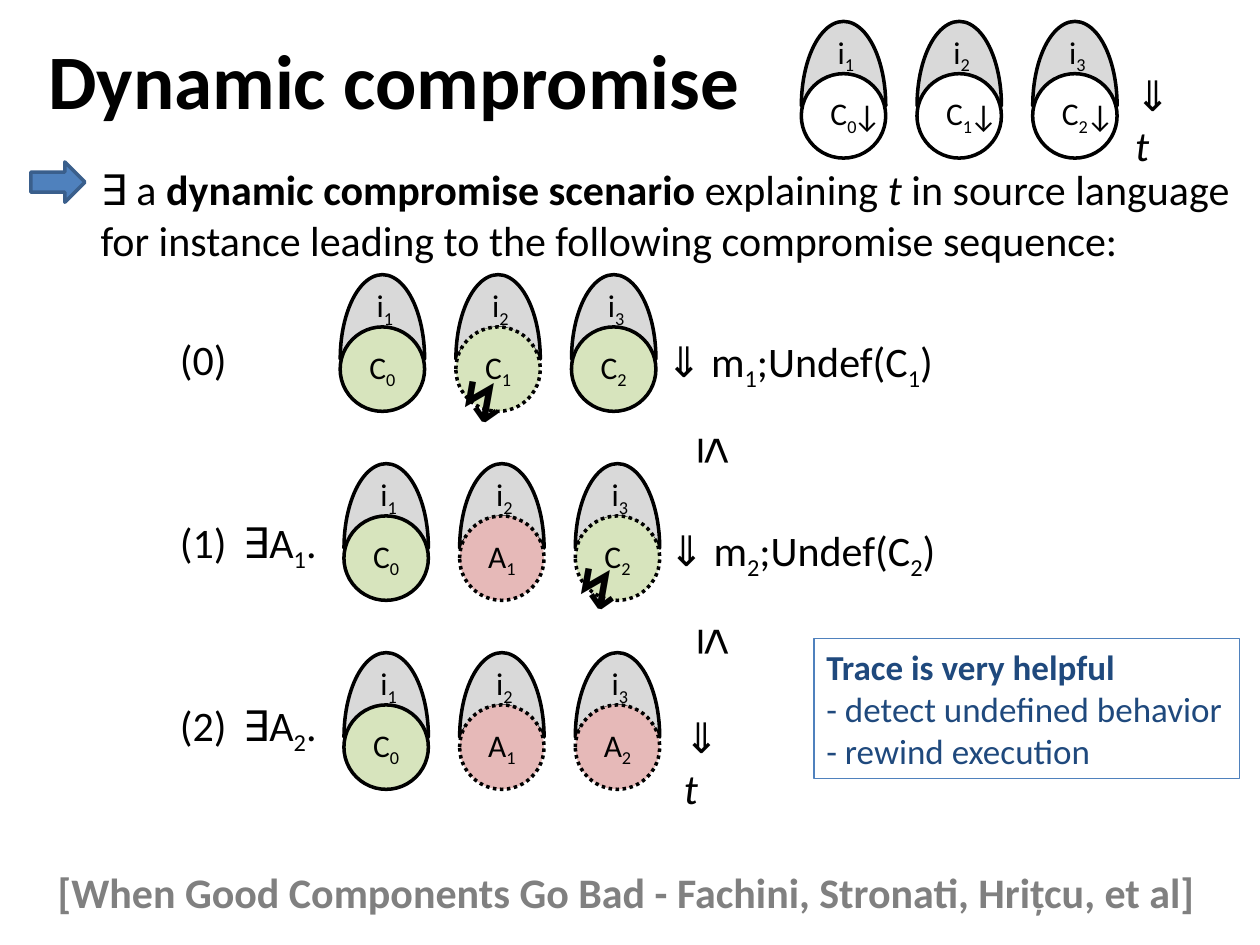
"""Build the slide on dynamic compromise of components."""
from pptx import Presentation
from pptx.dml.color import RGBColor as Rgb
from pptx.enum.dml import MSO_LINE as Dash
from pptx.enum.shapes import MSO_SHAPE as Kind
from pptx.enum.text import MSO_ANCHOR as Anchor, MSO_AUTO_SIZE as Fit, PP_ALIGN as Align
from pptx.util import Inches, Pt

COLS, ROWS = 100, 75
WIDE, HIGH = Inches(10), Inches(7.5)
HUES = {"ink": "000000", "gray": "808080", "shell": "D9D9D9", "plain": "FFFFFF",
        "C": "D7E4BD", "A": "E6B9B8", "blue": "4F81BD", "edge": "3A5F8C",
        "navy": "1F497D"}
DISC, PITCH, DROP = 6.7, 9.18, 4.15


def hue(name):
    """Return the named colour."""
    return Rgb.from_string(HUES[name])


def area(x, y, w, h):
    """Turn grid columns and rows into slide lengths."""
    return (int(x * WIDE / COLS), int(y * HIGH / ROWS),
            int(w * WIDE / COLS), int(h * HIGH / ROWS))


def write(shape, *lines, size=24, color="ink", bold=False, font="Calibri", align=Align.LEFT):
    """Fill a shape with lines of runs, each a string or a (string, marks) pair."""
    frame = shape.text_frame
    for n, line in enumerate(lines):
        para = frame.add_paragraph() if n else frame.paragraphs[0]
        para.alignment = align
        for part in line:
            words, marks = (part, "") if isinstance(part, str) else part
            run = para.add_run()
            run.text = words
            face = run.font
            face.name, face.size = font, Pt(size)
            face.color.rgb = hue(color)
            face.bold = bold or "b" in marks
            face.italic = "i" in marks
            if "s" in marks:
                face._element.set("baseline", "-25000")


def note(shapes, spot, *lines, wrap=False, turn=0, **look):
    """Add a text box."""
    box = shapes.add_textbox(*area(*spot))
    box.rotation = turn
    box.text_frame.word_wrap = wrap
    box.text_frame.auto_size = Fit.NONE if wrap else Fit.SHAPE_TO_FIT_TEXT
    write(box, *lines, **look)
    return box


def form(shapes, kind, spot, fill, edge="ink", turn=0, dash=None):
    """Add a filled and outlined preset shape."""
    shape = shapes.add_shape(kind, *area(*spot))
    shape.shadow.inherit = False
    shape.rotation = turn
    shape.fill.solid()
    shape.fill.fore_color.rgb = hue(fill)
    shape.line.color.rgb = hue(edge)
    shape.line.width = Pt(2)
    if dash:
        shape.line.dash_style = dash
    return shape


def trio(slide, x, y, names, dots="", fill=None):
    """Draw three parts under their interfaces; dots lists the dotted ones."""
    shapes = slide.shapes.add_group_shape().shapes
    for n in range(3):
        left = x + n * PITCH
        moon = form(shapes, Kind.MOON, (left, y, DISC, DISC), "shell", turn=90)
        moon.adjustments[0] = 0.632
        note(shapes, (left + 1.9, y + 0.4, 3.5, 4), ["i", (str(n + 1), "s")], size=18)
    for n, name in enumerate(names):
        disc = form(shapes, Kind.OVAL, (x + n * PITCH, y + DROP, DISC, DISC),
                    fill or name, dash=Dash.ROUND_DOT if str(n) in dots else None)
        disc.text_frame.vertical_anchor = Anchor.MIDDLE
        write(disc, [name, (str(n), "s")], size=18, align=Align.CENTER)


def trace(slide, x, y):
    """Add the arrow that yields the trace t."""
    note(slide.shapes, (x, y, 5.9, 5), ["⇓ ", ("t", "i")], wrap=True)


def event(slide, x, y, n):
    """Add the step that ends in undefined behaviour of one part."""
    mark = (str(n), "s")
    note(slide.shapes, (x, y, 23.6, 5), ["⇓ m", mark, ";Undef(C", mark, ")"])


def main():
    """Build and save the slide."""
    deck = Presentation()
    deck.slide_width, deck.slide_height = WIDE, HIGH
    slide = deck.slides.add_slide(deck.slide_layouts[5])
    shapes = slide.shapes

    title = shapes.title
    title.left, title.top, title.width, title.height = area(1.7, 0, 59.2, 12.5)
    title.text_frame.vertical_anchor = Anchor.MIDDLE
    write(title, ["Dynamic compromise"], size=44, bold=True, align=Align.CENTER)
    note(shapes, (3.6, 68.3, 93.1, 5),
         ["[When Good Components Go Bad - Fachini, Stronati, Hrițcu, et al]"],
         color="gray", bold=True)

    trio(slide, 63.6, 1.7, "CCC", fill="plain")
    note(shapes, (7, 12.5, 92.3, 9.1),
         ["∃ a ", ("dynamic compromise scenario ", "b"), "explaining ", ("t ", "i"),
          "in source language"],
         ["for instance leading to the following compromise sequence:"])
    for n in range(3):
        note(shapes, (66.7 + n * 9.25, 7.1, 4.3, 4), ["↓"], size=18)
    trace(slide, 89.1, 5)

    trio(slide, 27, 21.8, "CCC", dots="1")
    trio(slide, 27.3, 36.8, "CAC", dots="12")
    trio(slide, 27.3, 51.8, "CAA", dots="12")
    for n in range(3):
        row = 26 + n * 14.5
        note(shapes, (13.3, row, 5.8, 5), [f"({n})"])
        if n:
            note(shapes, (18.3, row, 7.9, 5), ["∃A", (str(n), "s"), "."])
    event(slide, 51.9, 26.1, 1)
    event(slide, 52.1, 41.1, 2)
    trace(slide, 53.3, 56)
    for x, y in ((35.4, 28.6), (44.6, 43.4)):
        note(shapes, (x, y, 4.6, 6.4), ["↯"], size=32, bold=True)
    for y in (33.5, 48.7):
        note(shapes, (54.3, y, 5.4, 5.7), ["≤ "], turn=90, size=28, font="Courier New")

    form(shapes, Kind.DOWN_ARROW, (3, 12.3, 3.2, 4.3), "blue", edge="edge", turn=270)
    help_box = note(shapes, (64.6, 50.7, 33.8, 11.1), [("Trace is very helpful", "b")],
                    ["- detect undefined behavior"], ["- rewind execution"],
                    size=20, color="navy")
    help_box.line.color.rgb = hue("blue")
    help_box.line.width = Pt(0.75)
    deck.save("out.pptx")


main()
